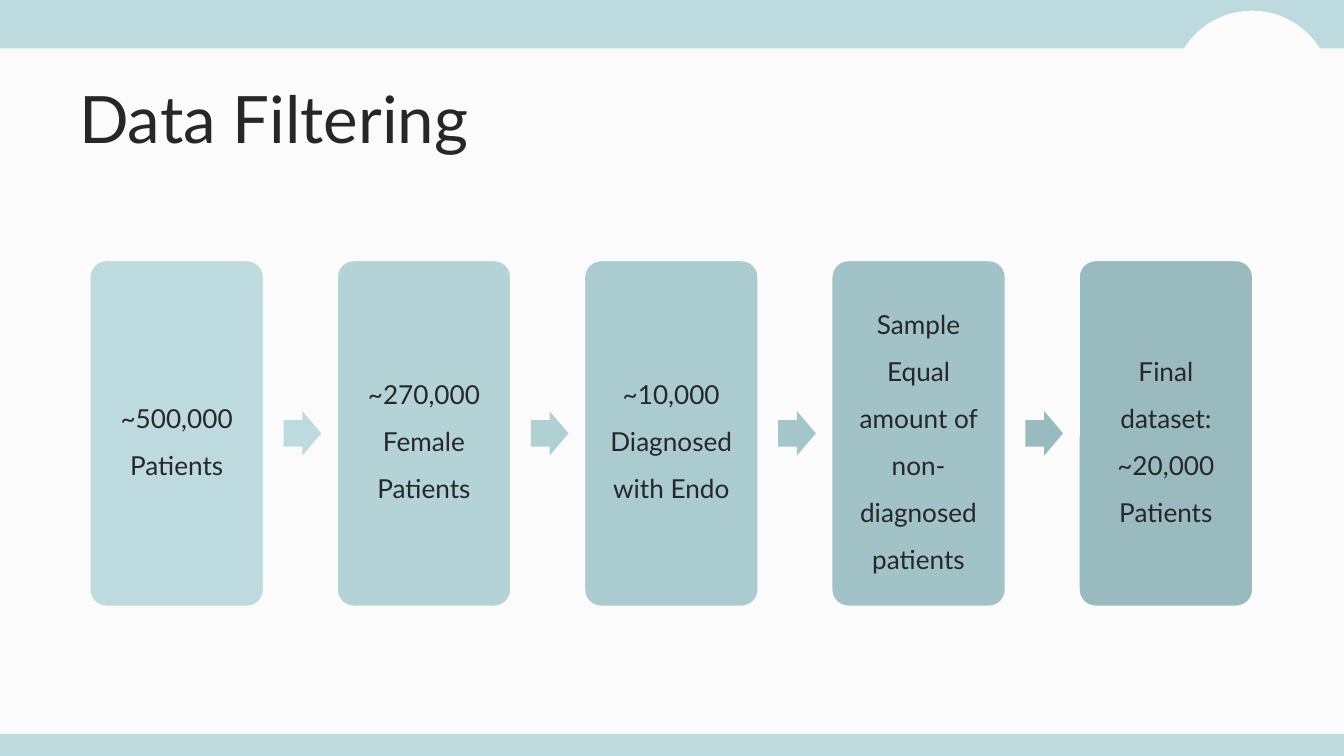
from dataclasses import dataclass

from pptx import Presentation
from pptx.dml import color
from pptx.enum import shapes, text
from pptx.util import Inches, Pt


@dataclass(frozen=True)
class Theme:
    paper: str = "FBFBFB"
    band: str = "BDDADE"
    ink: str = "272727"
    font: str = "Lato"
    title_size: int = 35
    step_size: int = 14
    step_fills: tuple = ("BDDADE", "B3D3D7", "AACBCF", "A1C2C7", "99BABF")
    arrow_fills: tuple = ("BDDADE", "B0D0D4", "A4C5CA", "99BABF")


theme = Theme()
rgb = color.RGBColor.from_string


def add_filled_shape(kind, left, top, width, height, fill):
    shape = slide.shapes.add_shape(
        kind, Inches(left), Inches(top), Inches(width), Inches(height))
    shape.shadow.inherit = False
    shape.fill.solid()
    shape.fill.fore_color.rgb = rgb(fill)
    shape.line.fill.background()
    return shape


def add_text(shape, words, size, inset):
    frame = shape.text_frame
    frame.word_wrap = True
    frame.margin_left = frame.margin_right = Inches(inset)
    frame.margin_top = frame.margin_bottom = Inches(inset)
    paragraph = frame.paragraphs[0]
    run = paragraph.add_run()
    run.text = words
    run.font.name = theme.font
    run.font.size = Pt(size)
    run.font.color.rgb = rgb(theme.ink)
    return paragraph


# Widescreen slide, 16:9
presentation = Presentation()
presentation.slide_width = Inches(10)
presentation.slide_height = Inches(10) * 9 // 16
slide = presentation.slides.add_slide(presentation.slide_layouts[6])
slide.background.fill.solid()
slide.background.fill.fore_color.rgb = rgb(theme.paper)

# Bands at the bottom and top, with a round notch
kinds = shapes.MSO_SHAPE
add_filled_shape(kinds.RECTANGLE, 0, 5.46, 10, 0.16, theme.band).height = (
    presentation.slide_height - Inches(5.46))
add_filled_shape(kinds.RECTANGLE, 0, 0, 10, 0.36, theme.band)
add_filled_shape(kinds.OVAL, 8.72, 0.08, 1.19, 1.19, theme.paper)

# Title
title = slide.shapes.add_textbox(
    Inches(0.49), Inches(0.48), Inches(4.61), Inches(0.63))
add_text(title, "Data Filtering", theme.title_size, 0.1)

# Filtering steps, each followed by an arrow except the last
steps = (
    "~500,000 Patients",
    "~270,000 Female Patients",
    "~10,000 Diagnosed with Endo",
    "Sample Equal amount of non-diagnosed patients",
    "Final dataset: ~20,000 Patients",
)
first_left, pitch, arrow_offset = 0.66, 1.84, 1.45

for index, words in enumerate(steps):
    left = first_left + index * pitch
    card = add_filled_shape(kinds.ROUNDED_RECTANGLE, left, 1.93, 1.31, 2.59,
                            theme.step_fills[index])
    card.adjustments[0] = 0.1
    card.line.color.rgb = rgb(theme.paper)
    card.line.width = Pt(2)
    card.text_frame.vertical_anchor = text.MSO_ANCHOR.MIDDLE
    paragraph = add_text(card, words, theme.step_size, 0.06)
    paragraph.alignment = text.PP_ALIGN.CENTER
    paragraph.line_spacing = 1.5

    if index < len(theme.arrow_fills):
        arrow = add_filled_shape(kinds.RIGHT_ARROW, left + arrow_offset, 3.06,
                                 0.28, 0.33, theme.arrow_fills[index])
        arrow.adjustments[0] = 0.6
        arrow.adjustments[1] = 0.5

presentation.save("out.pptx")
